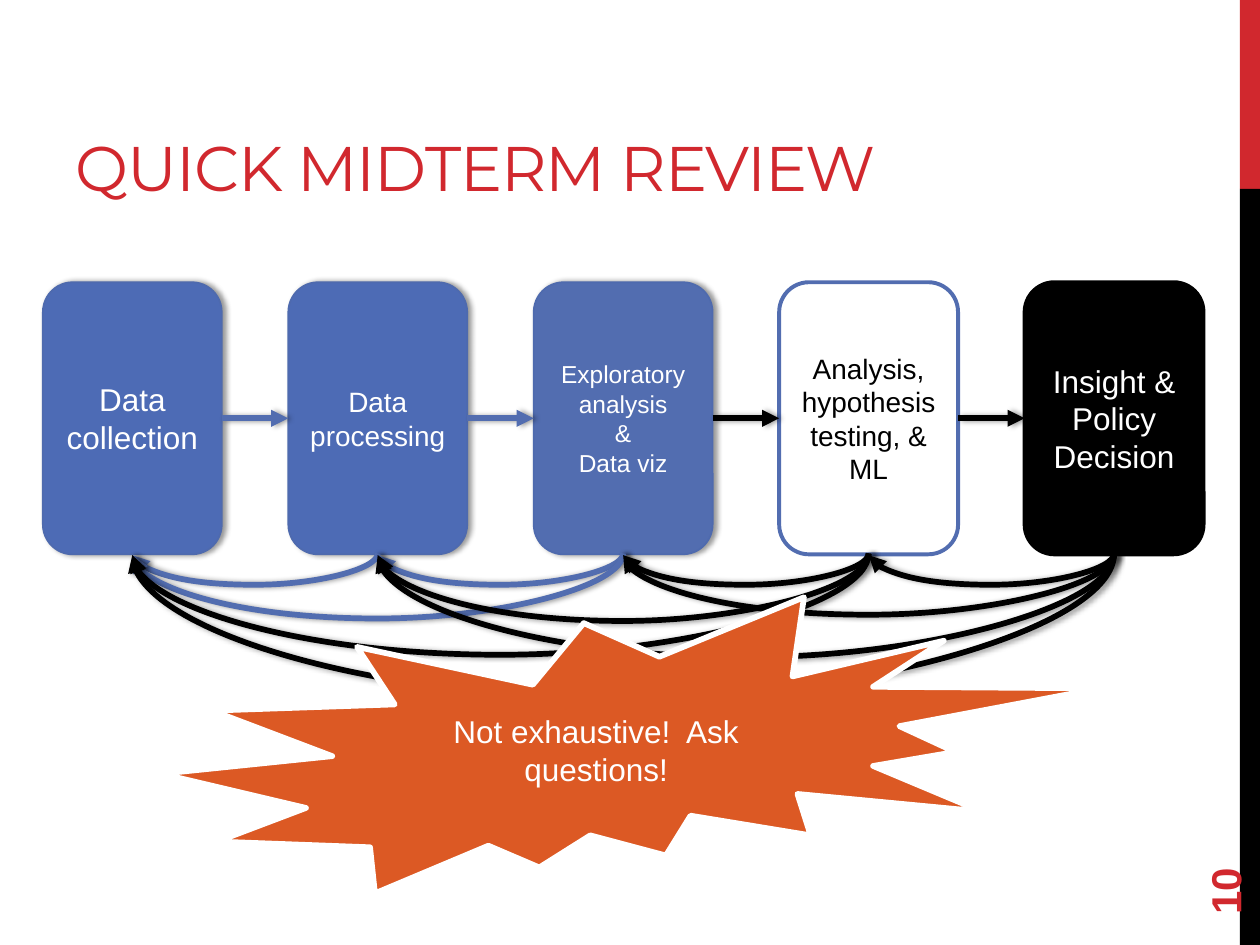
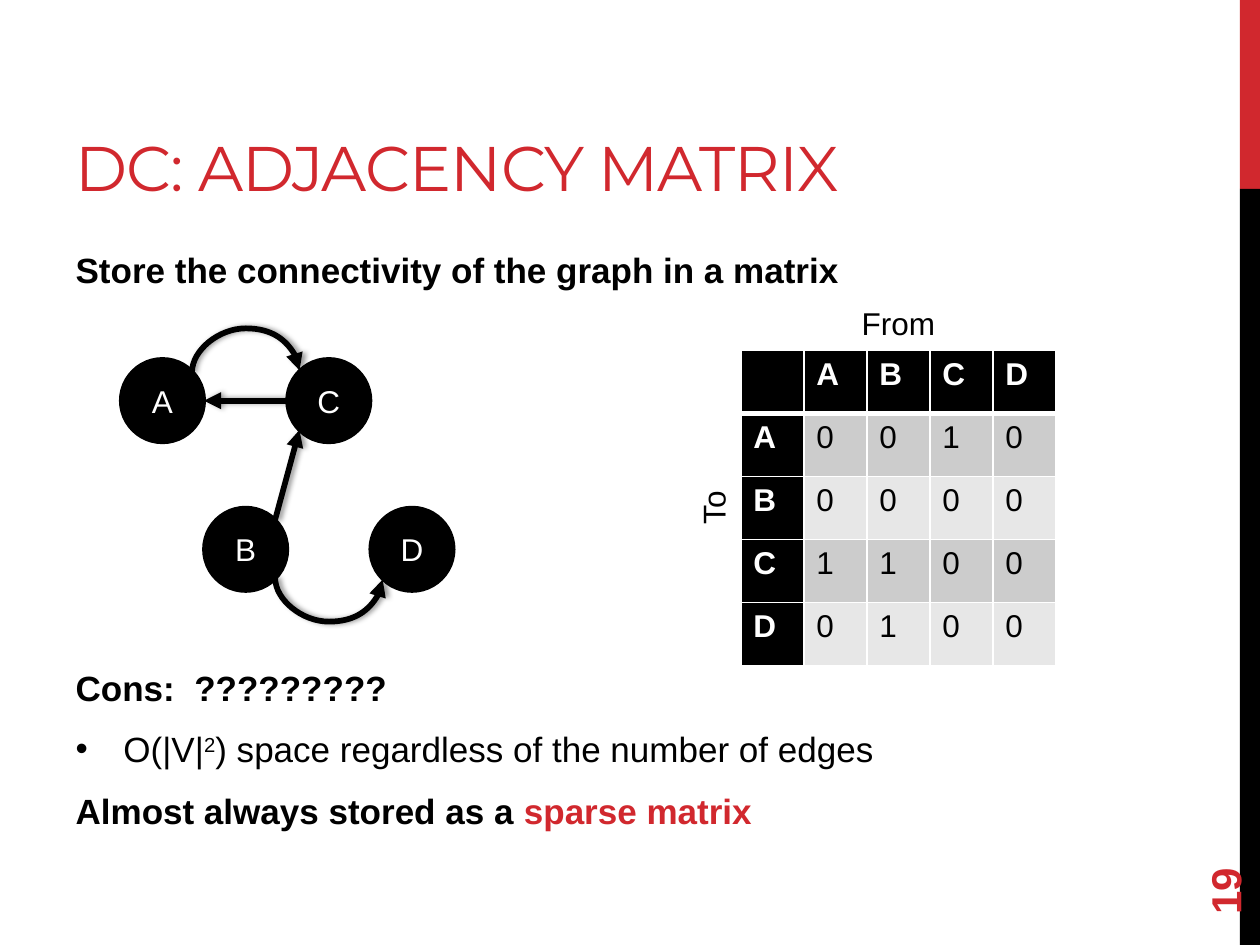
"""Builds two lecture slides: a midterm review and an adjacency matrix."""
from math import cos, radians, sin

from lxml.etree import SubElement
from pptx import Presentation
from pptx.dml.color import RGBColor
from pptx.enum.shapes import MSO_CONNECTOR, MSO_SHAPE
from pptx.enum.text import MSO_ANCHOR, MSO_AUTO_SIZE, PP_ALIGN
from pptx.oxml.ns import qn
from pptx.util import Inches, Pt

RECT = MSO_SHAPE.RECTANGLE
ROUND = MSO_SHAPE.ROUNDED_RECTANGLE
OVAL = MSO_SHAPE.OVAL
BURST = MSO_SHAPE.EXPLOSION2
LINE, CURVE = MSO_CONNECTOR.STRAIGHT, MSO_CONNECTOR.CURVE
LEFT, CENTER = PP_ALIGN.LEFT, PP_ALIGN.CENTER
TOP, MIDDLE, BOTTOM = MSO_ANCHOR.TOP, MSO_ANCHOR.MIDDLE, MSO_ANCHOR.BOTTOM
FIXED = MSO_AUTO_SIZE.NONE

COLORS = {"red": "D1282E", "black": "000000", "white": "FFFFFF", "blue": "4D6BB5",
          "edge": "4E6AAE", "steel": "526DB0", "orange": "DC5924",
          "dark": "CCCCCC", "light": "E7E7E7"}
FONT, HEAD = "Arial", "Montserrat"
COLS = 100


class Deck:
    """Holds the style and the current slide; lengths are cells of a 100 by 75 grid."""

    def __init__(self):
        self.deck = Presentation()
        self.deck.slide_width, self.deck.slide_height = Inches(10), Inches(7.5)
        self.unit = self.deck.slide_width / COLS
        self.slide = None

    def cells(self, *spans):
        """Turns grid cells into lengths."""
        return [round(span * self.unit) for span in spans]

    def start(self, layout, title, width, number):
        """Adds a slide with its title and number."""
        first = self.slide is None
        self.slide = self.deck.slides.add_slide(self.deck.slide_layouts[layout])
        if first:
            self.bands()
        frame = self.place(self.slide.shapes.title, (5, 1.7, width, 15), BOTTOM)
        self.words(frame, title, 36, "red", LEFT, font=HEAD)
        frame.paragraphs[0].runs[0]._r.get_or_add_rPr().set("spc", "-60")
        self.label(number, (90, 64.4, 14.4, 4), 24, "red", LEFT, True, 270)

    def bands(self):
        """Puts the two side bands on the master."""
        tree = self.deck.slide_master.element.cSld.spTree
        for top, height, fill in ((0, 15, "red"), (15, 60, "black")):
            tree.append(self.shape(RECT, (98.4, top, 1.6, height), fill).element)

    def place(self, holder, area, anchor):
        """Moves a placeholder and returns its text frame."""
        holder.left, holder.top, holder.width, holder.height = self.cells(*area)
        frame = holder.text_frame
        frame.auto_size, frame.vertical_anchor = FIXED, anchor
        return frame

    def style(self, part, size, ink, bold=False, font=FONT):
        """Sets the font of a paragraph."""
        part.font.name, part.font.size, part.font.bold = font, Pt(size), bold
        part.font.color.rgb = RGBColor.from_string(COLORS[ink])

    def words(self, frame, text, size, ink, align=CENTER, bold=False, font=FONT):
        """Fills a text frame, one paragraph a line."""
        frame.text, frame.word_wrap = text, True
        for part in frame.paragraphs:
            part.alignment = align
            self.style(part, size, ink, bold, font)

    def label(self, text, area, size, ink, align=CENTER, bold=False, turn=0):
        """Adds a text box."""
        box = self.slide.shapes.add_textbox(*self.cells(*area))
        box.rotation = turn
        box.text_frame.vertical_anchor = MIDDLE
        self.words(box.text_frame, text, size, ink, align, bold)

    def shape(self, kind, area, fill, edge=None, weight=1, shade=False):
        """Adds a preset shape."""
        shape = self.slide.shapes.add_shape(kind, *self.cells(*area))
        shape.shadow.inherit = False
        shape.fill.solid()
        shape.fill.fore_color.rgb = RGBColor.from_string(COLORS[fill])
        if edge:
            shape.line.color.rgb = RGBColor.from_string(COLORS[edge])
            shape.line.width = Pt(weight)
        else:
            shape.line.fill.background()
        if shade:
            self.shade(shape.element.spPr.find(qn("a:effectLst")))
        return shape

    def block(self, kind, area, text, size, fill, ink, edge, weight, shade=False):
        """Adds a preset shape with centred text."""
        shape = self.shape(kind, area, fill, edge, weight, shade)
        shape.text_frame.vertical_anchor = MIDDLE
        self.words(shape.text_frame, text, size, ink)
        return shape

    def shade(self, effects):
        """Adds a soft shadow to the right."""
        outer = SubElement(effects, qn("a:outerShdw"), blurRad=str(Pt(3.1)),
                           dist=str(Pt(1.8)), dir="0", rotWithShape="0")
        color = SubElement(outer, qn("a:srgbClr"), val=COLORS["black"])
        SubElement(color, qn("a:alpha"), val="40000")

    def spot(self, shape, site):
        """Finds a site, counted leftwards from the top."""
        count = 8 if shape.auto_shape_type == OVAL else 4
        turn = radians(90 + 360 / count * site)
        return (round(shape.left + shape.width * (1 + cos(turn)) / 2),
                round(shape.top + shape.height * (1 - sin(turn)) / 2))

    def link(self, tail, out, head, into, ink="black", depth=0):
        """Joins two shapes by an arrow, bent down by depth or up if negative."""
        ends = self.spot(tail, out) + self.spot(head, into)
        link = self.slide.shapes.add_connector(CURVE if depth else LINE, *ends)
        link.line.color.rgb = RGBColor.from_string(COLORS[ink])
        link.line.width = Pt(3.25)
        props = link.element.spPr
        SubElement(props.find(qn("a:ln")), qn("a:tailEnd"), type="triangle")
        self.shade(SubElement(props, qn("a:effectLst")))
        joint = link.element.nvCxnSpPr.cNvCxnSpPr
        for end, shape, site in ((joint.get_or_add_stCxn(), tail, out),
                                 (joint.get_or_add_endCxn(), head, into)):
            end.id, end.idx = shape.shape_id, site
        if depth:
            self.bend(link, ends, depth)

    def bend(self, link, ends, depth):
        """Turns a curved connector into an arc below or above its ends."""
        x1, y1, x2, y2 = ends
        thin, span = Pt(1), abs(x2 - x1)
        link.left, link.top = (x1 + x2 - thin) // 2, (y1 + y2 - span) // 2
        link.width, link.height = thin, span
        right, up = x2 > x1, depth < 0
        frame = link.element.spPr.find(qn("a:xfrm"))
        frame.set("rot", str((270 if right and not up else 90) * 60000))
        frame.set("flipH", str(int(right)))
        frame.set("flipV", str(int(right and up)))
        ratio = round(abs(depth) * self.unit / thin * 100000)
        guides = link.element.spPr.find(qn("a:prstGeom")).find(qn("a:avLst"))
        SubElement(guides, qn("a:gd"), name="adj1", fmla=f"val {ratio}")

    def points(self, area, items):
        """Fills the body; an item is space before, bullet, bold and runs."""
        frame = self.place(self.slide.placeholders[1], area, TOP)
        for i, (gap, mark, bold, runs) in enumerate(items):
            part = frame.add_paragraph() if i else frame.paragraphs[0]
            props = part._p.get_or_add_pPr()
            inset = Inches(0.38) if mark else 0
            props.set("marL", str(inset))
            props.set("indent", str(-inset))
            if mark:
                SubElement(props, qn("a:buChar"), char=mark)
            else:
                SubElement(props, qn("a:buNone"))
            part.space_before, part.space_after = Pt(gap), Pt(6)
            self.style(part, 20, "black", bold)
            for text, look in runs:
                run = part.add_run()
                run.text = text
                if look == "super":
                    run._r.get_or_add_rPr().set("baseline", "30000")
                elif look:
                    run.font.color.rgb = RGBColor.from_string(COLORS[look])

    def table(self, left, top, side, rows):
        """Adds a table of square cells with heads on top and at left."""
        size = len(rows)
        area = self.cells(left, top, side * size, side * size)
        grid = self.slide.shapes.add_table(size, size, *area).table
        for r, row in enumerate(rows):
            for c, text in enumerate(row):
                cell, head = grid.cell(r, c), r == 0 or c == 0
                self.words(cell.text_frame, text, 18, "white" if head else "black",
                           LEFT, head)
                self.rule(cell, 3 if r == 1 else 1, 1 if r else 3)
                fill = "black" if head else "dark" if r % 2 else "light"
                cell.fill.solid()
                cell.fill.fore_color.rgb = RGBColor.from_string(COLORS[fill])

    def rule(self, cell, top, bottom):
        """Draws the white borders of a cell."""
        props = cell._tc.get_or_add_tcPr()
        for side, width in (("L", 1), ("R", 1), ("T", top), ("B", bottom)):
            line = SubElement(props, qn(f"a:ln{side}"), w=str(Pt(width)))
            fill = SubElement(line, qn("a:solidFill"))
            SubElement(fill, qn("a:srgbClr"), val=COLORS["white"])


def review(deck):
    """Draws the data steps with their loops back."""
    deck.start(5, "QUICK MIDTERM REVIEW", 83.5, "10")
    steps = (("Data collection", 18, "blue", "white", "edge", 1, True),
             ("Data processing", 16, "blue", "white", "edge", 1, True),
             ("Exploratory analysis\n&\nData viz", 14, "steel", "white", "edge", 1, True),
             ("Analysis, hypothesis testing, & ML", 16, "white", "black", "steel", 2.25),
             ("Insight & Policy Decision", 18, "black", "white", "black", 2.25))
    bends = ((), (2.5,), (2.5, 5.2), (2.5, 5.4, 8.1), (2.5, 4.9, 8.3, 11.6))
    boxes = []
    for i, step in enumerate(steps):
        box = deck.block(ROUND, (3.4 + 19.48 * i, 22.4, 14.2, 21.6), *step)
        ink = "steel" if i < 3 else "black"
        if boxes:
            deck.link(boxes[-1], 3, box, 1, ink)
        for back, depth in zip(reversed(boxes), bends[i]):
            deck.link(box, 2, back, 2, ink, depth)
        boxes.append(box)
    deck.block(BURST, (12.8, 47.4, 74.5, 23.5), "Not exhaustive!  Ask questions!",
               18, "orange", "white", "white", 3.25)


def matrix(deck):
    """Draws a small graph and its adjacency matrix."""
    deck.start(1, "DC: ADJACENCY MATRIX", 63.3, "19")
    deck.points((5, 19.2, 83.3, 47.8), (
        (0, "", True, [("Store the connectivity of the graph in a matrix", "")]),
        (209, "", True, [("Cons:  ?????????", "")]),
        (5, "•", False, [("O(|V|", ""), ("2", "super"),
                         (") space regardless of the number of edges", "")]),
        (5, "", True, [("Almost always stored as a ", ""), ("sparse matrix", "red")])))
    side, nodes = 6.6, {}
    for name, col, top in (("C", 2, 28.5), ("B", 1, 40.3), ("D", 3, 40.3), ("A", 0, 28.5)):
        nodes[name] = deck.block(OVAL, (9.6 + side * col, top, side, side), name, 18,
                                 "black", "white", "black", 2.25)
    for tail, out, head, into, depth in (("A", 7, "C", 1, -3.5), ("B", 5, "D", 3, 3.5),
                                         ("C", 2, "A", 6, 0), ("B", 7, "C", 3, 0)):
        deck.link(nodes[tail], out, nodes[head], into, depth=depth)
    names = "ABCD"
    values = ("0010", "0000", "1100", "0100")
    deck.table(58.8, 27.8, 5, [["", *names]] + [[n, *v] for n, v in zip(names, values)])
    deck.label("From", (58.8, 23.6, 25, 4), 18, "black")
    deck.label("To", (44.1, 38.3, 25, 4), 18, "black", turn=270)


def main():
    """Builds and saves the slides."""
    deck = Deck()
    review(deck)
    matrix(deck)
    deck.deck.save("out.pptx")


if __name__ == "__main__":
    main()
